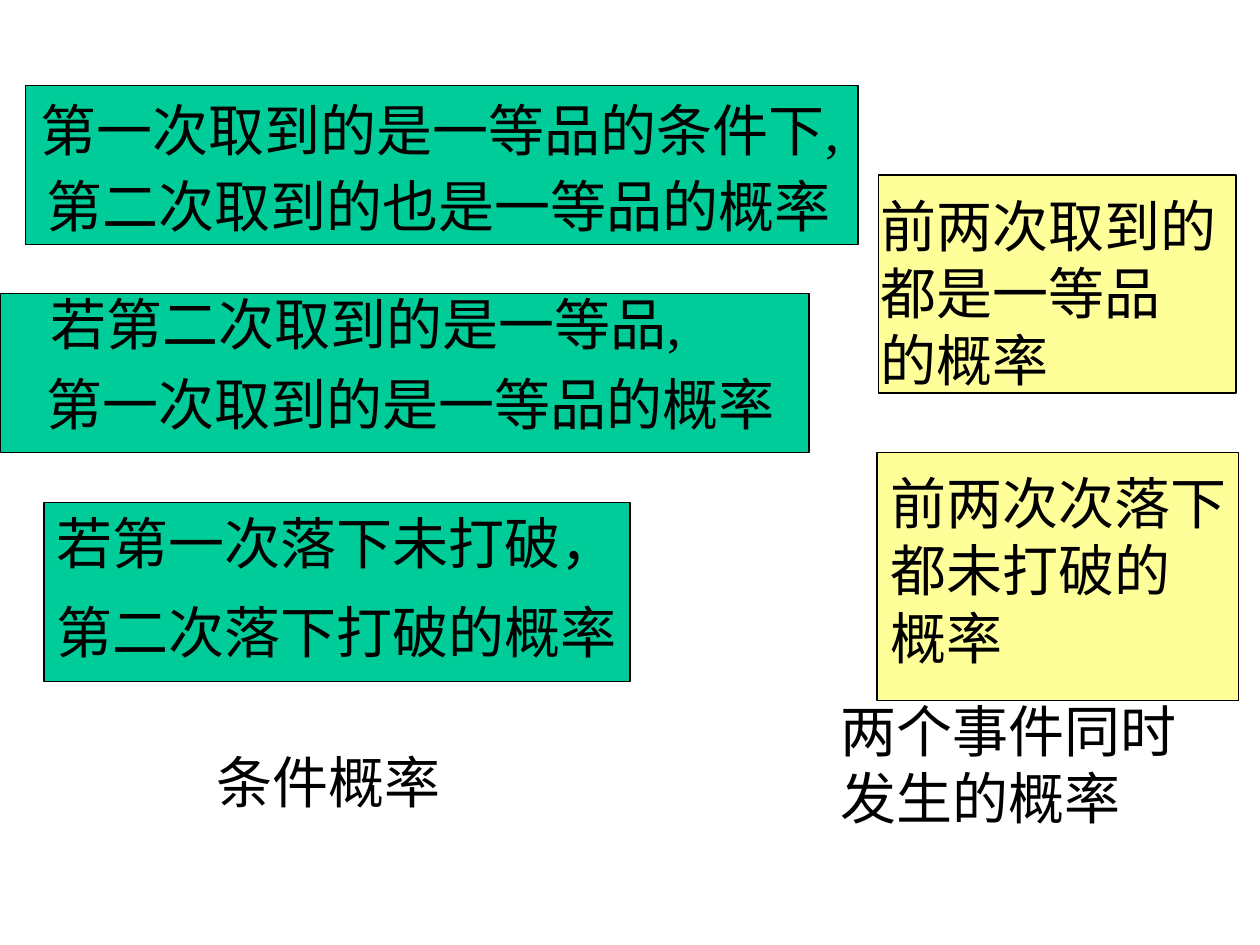
from pptx import Presentation
from pptx import util as u
from pptx.dml.color import RGBColor
from pptx.enum import shapes, text

FONT, SIZE = "Times New Roman", 32
GREEN, YELLOW, BLACK = "00CC99", "FFFF99", "000000"

PANELS = [
    (6.96, 3.59, 2.87, 1.97, YELLOW),
    (6.97, 1.39, 2.84, 1.73, YELLOW),
    (0.35, 3.99, 4.65, 1.42, GREEN),
    (0, 2.33, 6.42, 1.26, GREEN),
    (0.2, 0.68, 6.61, 1.26, GREEN),
]
LABELS = [
    (0.35, 3.99, 4.65, ["若第一次落下未打破，"]),
    (0.35, 4.69, 4.65, ["第二次落下打破的概率"]),
    (0.22, 0.71, 6.65, ["第一次取到的是一等品的条件下,"]),
    (0.27, 1.31, 6.43, ["第二次取到的也是一等品的概率"]),
    (0.3, 2.25, 5.31, ["若第二次取到的是一等品,"]),
    (0.27, 2.88, 6, ["第一次取到的是一等品的概率"]),
    (6.89, 1.47, 2.87, ["前两次取到的", "都是一等品", "的概率"]),
    (6.97, 3.67, 2.87, ["前两次次落下", "都未打破的", "概率"]),
    (1.62, 5.88, 1.98, ["条件概率"]),
    (6.57, 5.48, 2.87, ["两个事件同时", "发生的概率"]),
]


def paint(target, color):
    target.rgb = RGBColor.from_string(color)


def add_panel(slide, left, top, width, height, color):
    box = slide.shapes.add_shape(
        shapes.MSO_SHAPE.RECTANGLE, *map(u.Inches, (left, top, width, height)))
    box.shadow.inherit = False
    box.fill.solid()
    paint(box.fill.fore_color, color)
    paint(box.line.color, BLACK)
    box.line.width = u.Pt(0.75)


def add_label(slide, left, top, width, lines):
    height = 0.11 + 0.53 * len(lines)
    box = slide.shapes.add_textbox(*map(u.Inches, (left, top, width, height)))
    frame = box.text_frame
    frame.word_wrap = False
    frame.auto_size = text.MSO_AUTO_SIZE.SHAPE_TO_FIT_TEXT
    frame.text = "\n".join(lines)
    for para in frame.paragraphs:
        for run in para.runs:
            run.font.name = FONT
            run.font.size = u.Pt(SIZE)
            paint(run.font.color, BLACK)


def main():
    deck = Presentation()
    deck.slide_width, deck.slide_height = u.Inches(10), u.Inches(7.5)
    slide = deck.slides.add_slide(deck.slide_layouts[6])
    for panel in PANELS:
        add_panel(slide, *panel)
    for label in LABELS:
        add_label(slide, *label)
    deck.save("out.pptx")


if __name__ == "__main__":
    main()
